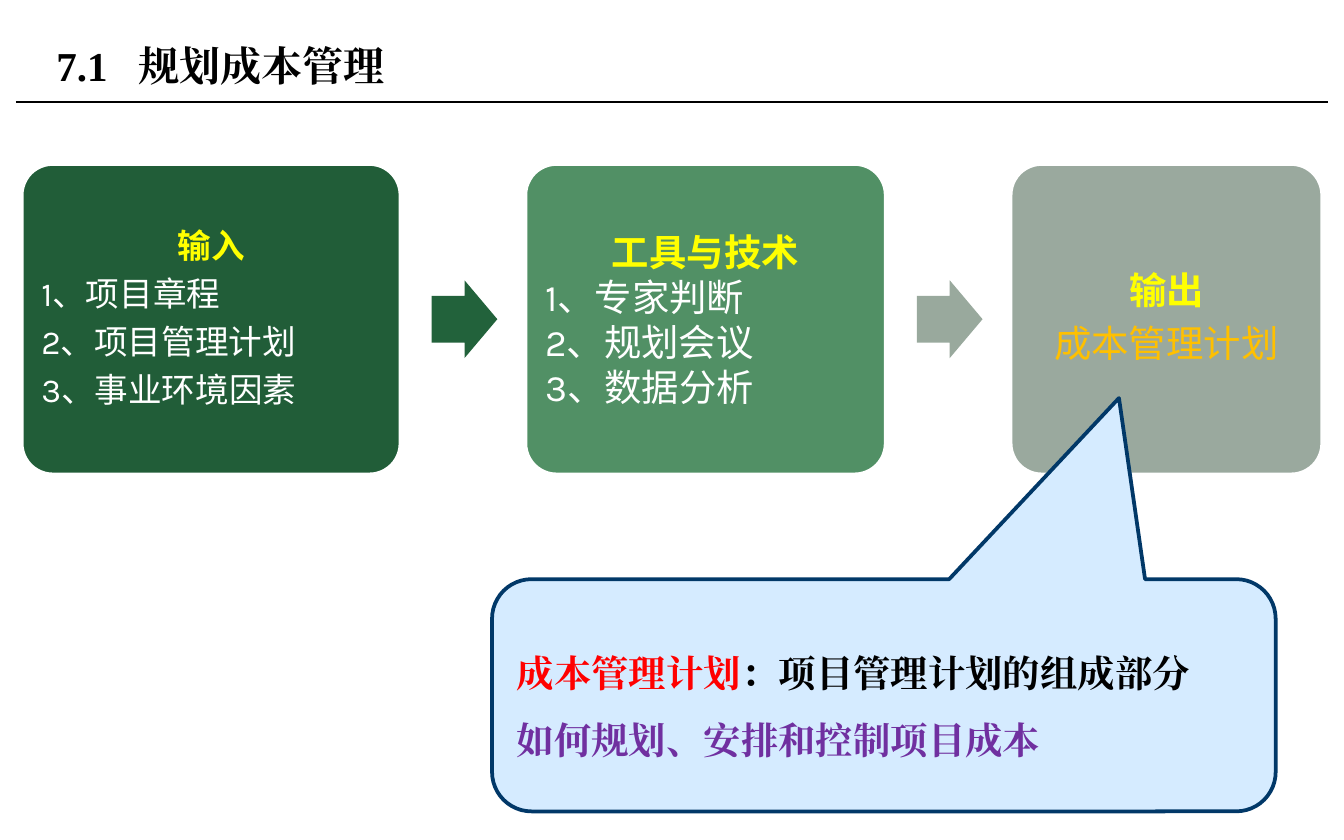
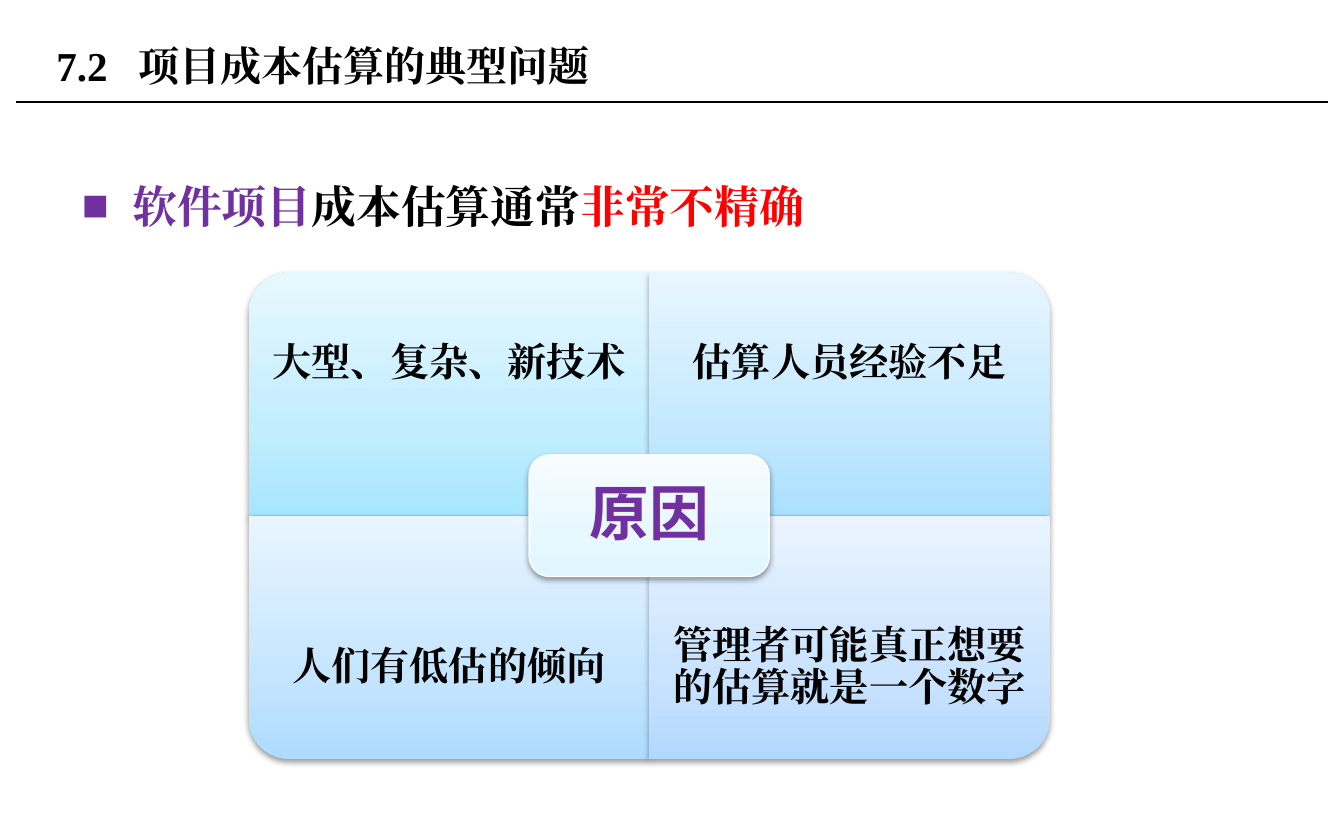
import dataclasses
import typing

import pptx
import pptx.dml.color
import pptx.enum.shapes
import pptx.enum.text
import pptx.oxml
import pptx.oxml.ns
import pptx.util

Cm = pptx.util.Cm
Pt = pptx.util.Pt
RGB = pptx.dml.color.RGBColor
Kind = pptx.enum.shapes.MSO_SHAPE
Align = pptx.enum.text.PP_ALIGN
Anchor = pptx.enum.text.MSO_ANCHOR

BLACK = RGB(0, 0, 0)
WHITE = RGB(255, 255, 255)
YELLOW = RGB(255, 255, 0)
GOLD = RGB(0xFF, 0xC0, 0x00)
RED = RGB(255, 0, 0)
PURPLE = RGB(0x70, 0x30, 0xA0)
NAVY = RGB(0x01, 0x38, 0x68)
SKY = RGB(0xD5, 0xEB, 0xFF)
FOREST = RGB(0x21, 0x5D, 0x38)
PINE = RGB(0x22, 0x62, 0x3B)
LEAF = RGB(0x51, 0x90, 0x65)
SAGE = RGB(0x9A, 0xA9, 0x9E)
MIST = RGB(0x99, 0xA9, 0x9D)

SERIF = "Times New Roman"
SANS = "Karla"
NS = pptx.oxml.ns.nsdecls("a")


class Run(typing.NamedTuple):
    text: str
    color: RGB = BLACK
    bold: bool = True


@dataclasses.dataclass
class Line:
    runs: list[Run]
    align: Align = Align.LEFT


@dataclasses.dataclass
class Card:
    width: float
    fill: RGB
    size: int
    lines: list[Line]
    tight: bool = True
    arrow: RGB | None = None


@dataclasses.dataclass
class Tile:
    text: str
    col: int
    row: int
    turn: int
    tints: tuple[str, str, str]


def write(frame, lines: list[Line], *, size: float, font: str = SERIF,
          space: float = 1.0, after: float = 0, inset: float | None = None,
          anchor: Anchor = Anchor.MIDDLE, extra: tuple[str, ...] = ()) -> None:
    """Fill a frame; extra holds bullet or tab elements for each paragraph."""
    frame.word_wrap = True
    frame.auto_size = pptx.enum.text.MSO_AUTO_SIZE.NONE
    frame.vertical_anchor = anchor
    if inset is not None:
        frame.margin_left = frame.margin_right = Cm(inset)
        frame.margin_top = frame.margin_bottom = Cm(inset)
    for i, line in enumerate(lines):
        para = frame.add_paragraph() if i else frame.paragraphs[0]
        props = para._p.get_or_add_pPr()
        for xml in extra:
            props.append(pptx.oxml.parse_xml(xml))
        para.alignment = line.align
        para.line_spacing = space
        para.space_before = Pt(0)
        para.space_after = Pt(after)
        for part in line.runs:
            run = para.add_run()
            run.text = part.text
            run.font.size = Pt(size)
            run.font.bold = part.bold
            run.font.name = font
            run.font.color.rgb = part.color
            run._r.get_or_add_rPr().append(
                pptx.oxml.parse_xml(f'<a:ea {NS} typeface="{font}"/>'))


def shape(slide, kind: Kind, x: float, y: float, w: float, h: float,
          fill: RGB | None = None, edge: RGB | None = None, thick: float = 2,
          adjust: tuple[float, ...] = (), tints: tuple[str, ...] = ()):
    """Draw a preset shape, flat with a fill or shaded and raised with tints."""
    item = slide.shapes.add_shape(kind, Cm(x), Cm(y), Cm(w), Cm(h))
    for i, value in enumerate(adjust):
        item.adjustments[i] = value
    props = item._element.spPr
    if tints:
        stops = "".join(
            f'<a:gs pos="{pos}000"><a:srgbClr val="{tint}"/></a:gs>'
            for pos, tint in zip((0, 35, 100), tints))
        props.append(pptx.oxml.parse_xml(
            f'<a:gradFill {NS} rotWithShape="0"><a:gsLst>{stops}</a:gsLst>'
            '<a:lin ang="16200000" scaled="0"/></a:gradFill>'))
    else:
        item.fill.solid()
        item.fill.fore_color.rgb = fill
    if edge is None:
        item.line.fill.background()
    else:
        item.line.color.rgb = edge
        item.line.width = Pt(thick)
    if tints:
        props.append(pptx.oxml.parse_xml(
            f'<a:effectLst {NS}><a:outerShdw blurRad="40000" dist="20000" '
            'dir="5400000" rotWithShape="0"><a:srgbClr val="000000">'
            '<a:alpha val="38000"/></a:srgbClr></a:outerShdw></a:effectLst>'))
    else:
        item.shadow.inherit = False
    return item


def start(deck, number: str, name: str, width: float):
    """Add a slide with its title and the rule below it."""
    slide = deck.slides.add_slide(deck.slide_layouts[5])
    rule = slide.shapes.add_connector(
        pptx.enum.shapes.MSO_CONNECTOR.STRAIGHT,
        Cm(0.3), Cm(1.93), Cm(25.1), Cm(1.93))
    rule.line.color.rgb = BLACK
    rule.line.width = Pt(0.75)
    rule._element.spPr.append(pptx.oxml.parse_xml(f"<a:effectLst {NS}/>"))
    title = slide.shapes.title
    title.left, title.top = Cm(0.81), Cm(0.33)
    title.width, title.height = Cm(width), Cm(1.8)
    tab = f'<a:tabLst {NS}><a:tab pos="{Cm(1.56)}" algn="l"/></a:tabLst>'
    write(title.text_frame, [Line([Run(f"{number}\t{name}")])],
          size=22, extra=(tab,))
    return slide


def head(text: str) -> Line:
    return Line([Run(text, YELLOW)], Align.CENTER)


def steps(*names: str) -> list[Line]:
    return [Line([Run(f"{i}、{name}", WHITE, False)])
            for i, name in enumerate(names, 1)]


CARDS = [
    Card(7.16, FOREST, 18,
         [head("输入"), *steps("项目章程", "项目管理计划", "事业环境因素")],
         arrow=PINE),
    Card(6.81, LEAF, 20,
         [head("工具与技术"), *steps("专家判断", "规划会议", "数据分析")],
         tight=False, arrow=MIST),
    Card(5.89, SAGE, 20,
         [head("输出"),
          Line([Run("成本管理计划", GOLD, False)], Align.CENTER)]),
]

TILES = [
    Tile("大型、复杂、新技术", 0, 0, 270, ("A7E6FF", "C1EDFF", "E7F8FF")),
    Tile("估算人员经验不足", 1, 0, 0, ("AAE0FF", "C3E8FF", "E8F6FF")),
    Tile("人们有低估的倾向", 0, 1, 180, ("AEDBFF", "C5E5FF", "E9F5FF")),
    Tile("管理者可能真正想要的估算就是一个数字", 1, 1, 90,
         ("B3D8FE", "CAE3FE", "EAF4FF")),
]


def plan(deck) -> None:
    slide = start(deck, "7.1", "规划成本管理", 16.2)
    x, top, high = 0.41, 3.1, 5.87
    wide, tall = 1.24, 1.47
    for card in CARDS:
        box = shape(slide, Kind.ROUNDED_RECTANGLE, x, top, card.width, high,
                    card.fill, WHITE, adjust=(0.1,))
        write(box.text_frame, card.lines, size=card.size, font=SANS,
              space=0.9 if card.tight else 1.0,
              after=0.35 * card.size if card.tight else 0, inset=0.2)
        x += card.width
        if card.arrow is not None:
            shape(slide, Kind.RIGHT_ARROW, x + 0.59, top + (high - tall) / 2,
                  wide, tall, card.arrow, adjust=(0.6, 0.5))
        x += 2.36
    note = shape(slide, Kind.ROUNDED_RECTANGULAR_CALLOUT,
                 9.3, 10.95, 14.81, 4.39, SKY, NAVY,
                 adjust=(0.3, -1.28, 0.17))
    write(note.text_frame, [
        Line([Run("成本管理计划", RED), Run("：项目管理计划的组成部分")]),
        Line([Run("如何规划、安排和控制项目成本", PURPLE)]),
    ], size=20, space=1.5)


def issues(deck) -> None:
    slide = start(deck, "7.2", "项目成本估算的典型问题", 18.5)
    lead = slide.shapes.add_textbox(Cm(1.3), Cm(2.74), Cm(22.8), Cm(9.9))
    bullet = (f'<a:buFont {NS} typeface="{SERIF}"/>',
              f'<a:buChar {NS} char="■"/>')
    write(lead.text_frame, [Line([
        Run("软件项目", PURPLE), Run("成本估算通常"), Run("非常不精确", RED),
    ])], size=24, space=1.5, anchor=Anchor.TOP, extra=bullet)
    props = lead.text_frame.paragraphs[0]._p.get_or_add_pPr()
    props.set("marL", str(Cm(0.95)))
    props.set("indent", str(-Cm(0.95)))

    left, top, wide, high, deep = 4.7, 5.15, 7.57, 4.6, 3.45
    for tile in TILES:
        x, y = left + tile.col * wide, top + tile.row * high
        w, h = (high, wide) if tile.turn % 180 else (wide, high)
        box = shape(slide, Kind.ROUND_1_RECTANGLE, x + (wide - w) / 2,
                    y + (high - h) / 2, w, h, tints=tile.tints)
        box.rotation = tile.turn
        label = slide.shapes.add_textbox(
            Cm(x), Cm(y + tile.row * (high - deep)), Cm(wide), Cm(deep))
        write(label.text_frame, [Line([Run(tile.text)], Align.CENTER)],
              size=21, space=0.9, after=7.35, inset=0.4)

    w, h = 4.54, 2.3
    core = shape(slide, Kind.ROUNDED_RECTANGLE, left + wide - w / 2,
                 top + high - h / 2, w, h, edge=WHITE, thick=0.75,
                 tints=("DFF5FF", "E8F8FF", "F6FCFF"))
    write(core.text_frame, [Line([Run("原因", PURPLE)], Align.CENTER)],
          size=32, font=SANS, space=0.9, after=11.2, inset=0.33)


def main() -> None:
    deck = pptx.Presentation()
    deck.slide_width, deck.slide_height = Cm(25.4), Cm(15.88)
    plan(deck)
    issues(deck)
    deck.save("out.pptx")


if __name__ == "__main__":
    main()
